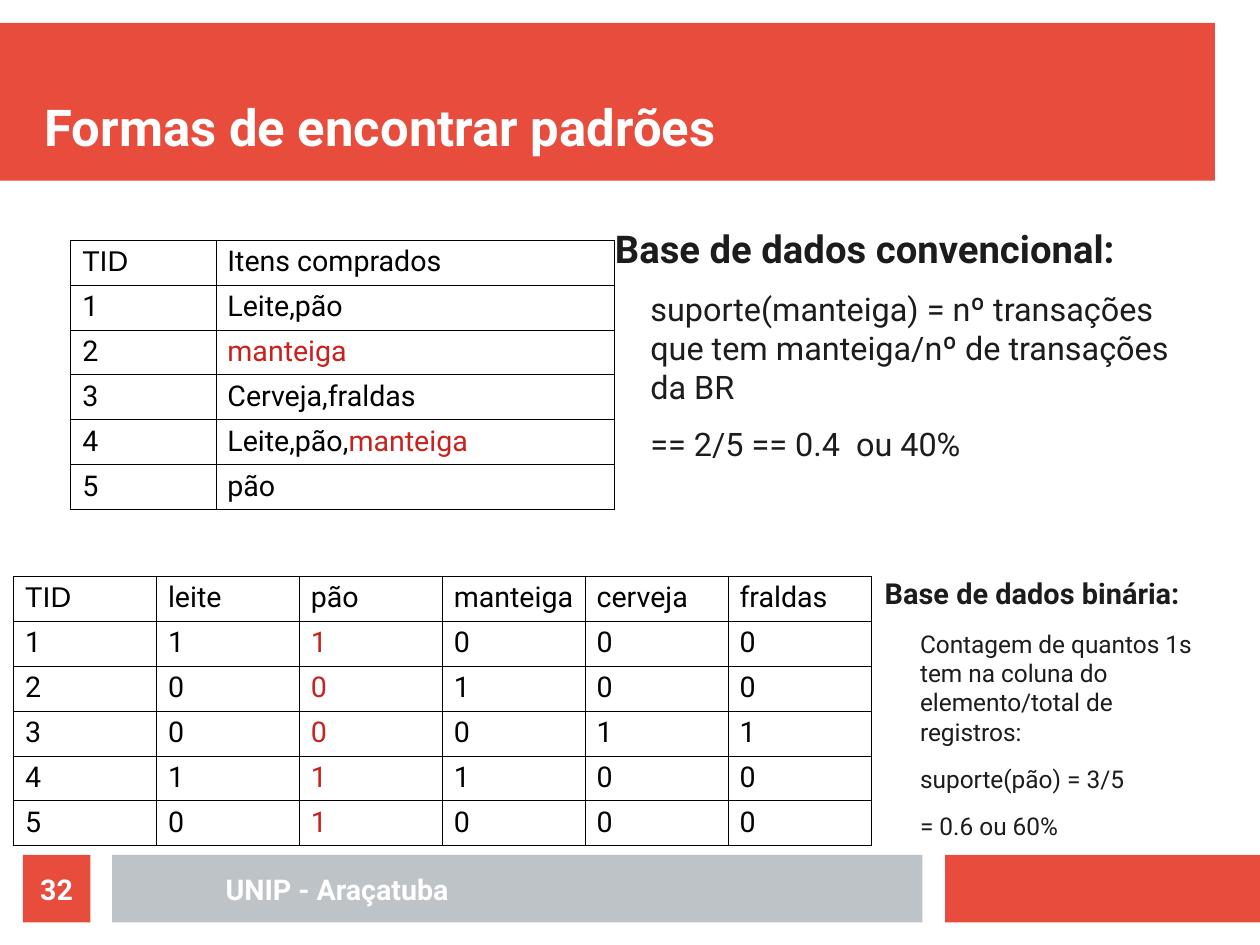
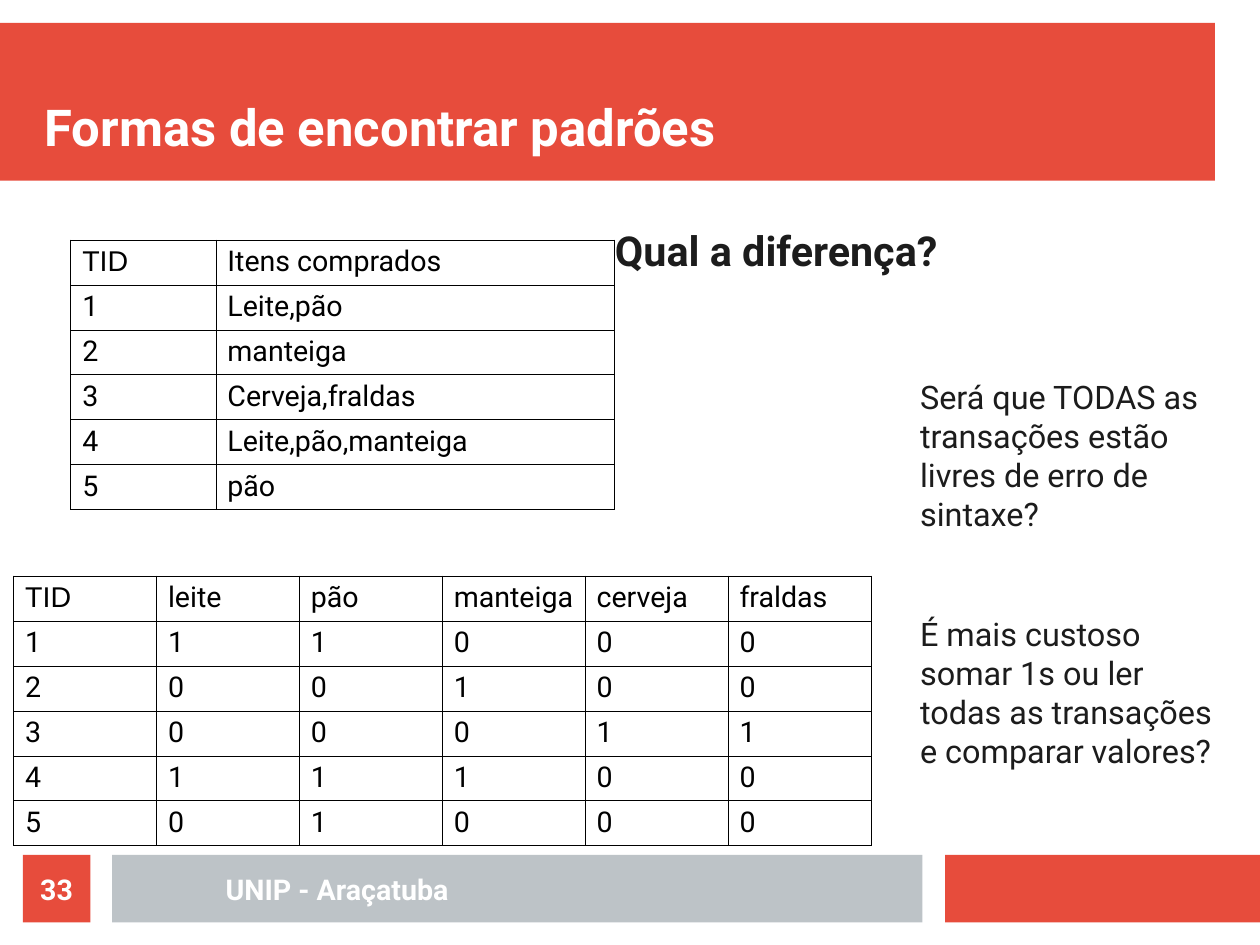
import pptx
import pptx.dml.color
import pptx.enum.shapes
import pptx.enum.text
import pptx.oxml.ns
import pptx.util
from lxml import etree

Inches, Pt = pptx.util.Inches, pptx.util.Pt
RGBColor = pptx.dml.color.RGBColor
ANCHOR, ALIGN = pptx.enum.text.MSO_ANCHOR, pptx.enum.text.PP_ALIGN

CORAL = RGBColor(0xE7, 0x4C, 0x3C)
SILVER = RGBColor(0xBD, 0xC3, 0xC7)
INK = RGBColor(0x1C, 0x1C, 0x1C)
MARK = RGBColor(0xC9, 0x21, 0x1E)
BLACK = RGBColor(0, 0, 0)
WHITE = RGBColor(255, 255, 255)

FONT = "Roboto"
INDENT = 0.31
ROW_HEIGHT = 0.38
CELL_PADDING = Pt(3.35)
FOOTER_TOP, FOOTER_HEIGHT = 7.48, 0.59

BASKETS = ["Leite,pão", "manteiga", "Cerveja,fraldas", "Leite,pão,manteiga", "pão"]
ITEMS = ["leite", "pão", "manteiga", "cerveja", "fraldas"]


# Text
def add_text(paragraph, text, size=18, color=BLACK, bold=False, font=FONT,
             align=None, indent=0, after=0):
    """Append one formatted run to a paragraph."""
    if indent:
        paragraph._p.get_or_add_pPr().set("marL", str(Inches(indent)))
    if align is not None:
        paragraph.alignment = align
    paragraph.space_after = Pt(after)
    run = paragraph.add_run()
    run.text = text
    run.font.size, run.font.bold, run.font.name = Pt(size), bold, font
    run.font.color.rgb = color


def prepare_frame(frame, anchor=ANCHOR.TOP):
    frame.word_wrap = True
    frame.vertical_anchor = anchor
    frame.margin_left = frame.margin_right = 0
    frame.margin_top = frame.margin_bottom = 0
    return frame


def add_box(slide, left, top, width, height, anchor=ANCHOR.TOP):
    box = slide.shapes.add_textbox(Inches(left), Inches(top), Inches(width), Inches(height))
    return prepare_frame(box.text_frame, anchor)


def add_explanation(slide, place, heading, details, heading_size, detail_size):
    """A bold heading followed by indented paragraphs."""
    frame = add_box(slide, *place)
    add_text(frame.paragraphs[0], heading, size=heading_size, color=INK, bold=True, after=11.4)
    for detail in details:
        add_text(frame.add_paragraph(), detail, size=detail_size, color=INK,
                 indent=INDENT, after=11.3)


# Bands
def add_band(slide, left, top, width, height, color):
    band = slide.shapes.add_shape(pptx.enum.shapes.MSO_SHAPE.RECTANGLE, Inches(left),
                                  Inches(top), Inches(width), Inches(height))
    band.shadow.inherit = False
    band.fill.solid()
    band.fill.fore_color.rgb = color
    band.line.fill.background()
    return band


def add_base_slide(deck, title, number):
    """A slide with title band, footer bands and page number."""
    slide = deck.slides.add_slide(deck.slide_layouts[6])
    add_band(slide, 0, 0.2, 10.63, 1.38, CORAL)
    add_band(slide, 8.27, FOOTER_TOP, 2.76, FOOTER_HEIGHT, CORAL)
    add_band(slide, 0.98, FOOTER_TOP, 7.09, FOOTER_HEIGHT, SILVER)
    heading = add_box(slide, 0.39, 0.39, 10.24, 0.98, ANCHOR.BOTTOM)
    add_text(heading.paragraphs[0], title, size=32, color=WHITE, bold=True)

    school = add_box(slide, 1.18, FOOTER_TOP, 3.54, FOOTER_HEIGHT, ANCHOR.MIDDLE)
    page = add_band(slide, 0.2, FOOTER_TOP, FOOTER_HEIGHT, FOOTER_HEIGHT, CORAL)
    page_frame = prepare_frame(page.text_frame, ANCHOR.MIDDLE)
    for frame, label in ((school, "UNIP - Araçatuba"), (page_frame, str(number))):
        add_text(frame.paragraphs[0], label, color=WHITE, bold=True, align=ALIGN.CENTER)
    return slide


# Tables
def draw_borders(cell):
    properties = cell._tc.get_or_add_tcPr()
    qn = pptx.oxml.ns.qn
    for side in ("lnL", "lnR", "lnT", "lnB"):
        line = etree.SubElement(properties, qn("a:" + side), w=str(Pt(0.57)))
        fill = etree.SubElement(line, qn("a:solidFill"))
        etree.SubElement(fill, qn("a:srgbClr"), val=str(BLACK))


def add_grid(slide, left, top, widths, rows):
    """Draw rows of cells; each cell is a list of (text, color) runs."""
    grid = slide.shapes.add_table(len(rows), len(widths), Inches(left), Inches(top),
                                  Inches(sum(widths)), Inches(ROW_HEIGHT * len(rows))).table
    grid.first_row = grid.horz_banding = False
    for column, width in zip(grid.columns, widths):
        column.width = Inches(width)
    for r, row in enumerate(rows):
        grid.rows[r].height = Inches(ROW_HEIGHT)
        for c, runs in enumerate(row):
            cell = grid.cell(r, c)
            cell.margin_top = cell.margin_bottom = CELL_PADDING
            draw_borders(cell)
            cell.fill.background()
            for text, color in runs:
                add_text(cell.text_frame.paragraphs[0], text, color=color,
                         font="Arial" if r == c == 0 else FONT)


def add_basket_table(slide, marked_item=None):
    rows = [[[("TID", BLACK)], [("Itens comprados", BLACK)]]]
    for tid, basket in enumerate(BASKETS, 1):
        runs = [(basket, BLACK)]
        if marked_item and marked_item in basket:
            before, item, rest = basket.partition(marked_item)
            runs = [run for run in ((before, BLACK), (item, MARK), (rest, BLACK)) if run[0]]
        rows.append([[(str(tid), BLACK)], runs])
    add_grid(slide, 0.62, 2.1, [1.27, 3.49], rows)


def add_binary_table(slide, marked_item=None):
    rows = [[[(name, BLACK)] for name in ["TID"] + ITEMS]]
    for tid, basket in enumerate(BASKETS, 1):
        bought = basket.lower().split(",")
        flags = [[(str(int(item in bought)), MARK if item == marked_item else BLACK)]
                 for item in ITEMS]
        rows.append([[(str(tid), BLACK)]] + flags)
    add_grid(slide, 0.12, 5.04, [1.25] * (len(ITEMS) + 1), rows)


def main():
    deck = pptx.Presentation()
    deck.slide_width, deck.slide_height = pptx.util.Cm(28), pptx.util.Cm(21)
    title = "Formas de encontrar padrões"
    upper_right = (5.38, 1.97, 5.05, 2.47)

    # Support in each kind of database
    support = add_base_slide(deck, title, 32)
    add_explanation(support, upper_right, "Base de dados convencional:",
                    ["suporte(manteiga) = nº transações que tem manteiga/nº de transações da BR",
                     "== 2/5 == 0.4  ou 40%"], 24.1, 20.4)
    add_basket_table(support, "manteiga")
    add_binary_table(support, "pão")
    add_explanation(support, (7.74, 5.04, 2.93, 2.47), "Base de dados binária:",
                    ["Contagem de quantos 1s tem na coluna do elemento/total de registros:",
                     "suporte(pão) = 3/5", "= 0.6 ou 60%"], 18.2, 15.4)

    # Comparison of the two
    comparison = add_base_slide(deck, title, 33)
    add_explanation(comparison, upper_right, "Qual a diferença?", [], 26, 20.4)
    add_basket_table(comparison)
    add_binary_table(comparison)
    questions = add_box(comparison, 7.74, 3.3, 2.93, 4.2)
    add_text(questions.paragraphs[0],
             "Será que TODAS as transações estão livres de erro de sintaxe?",
             size=20.4, color=INK, indent=INDENT, after=51.6)
    add_text(questions.add_paragraph(),
             "É mais custoso somar 1s ou ler todas as transações e comparar valores?",
             size=20.4, color=INK, indent=INDENT)

    deck.save("out.pptx")


if __name__ == "__main__":
    main()
